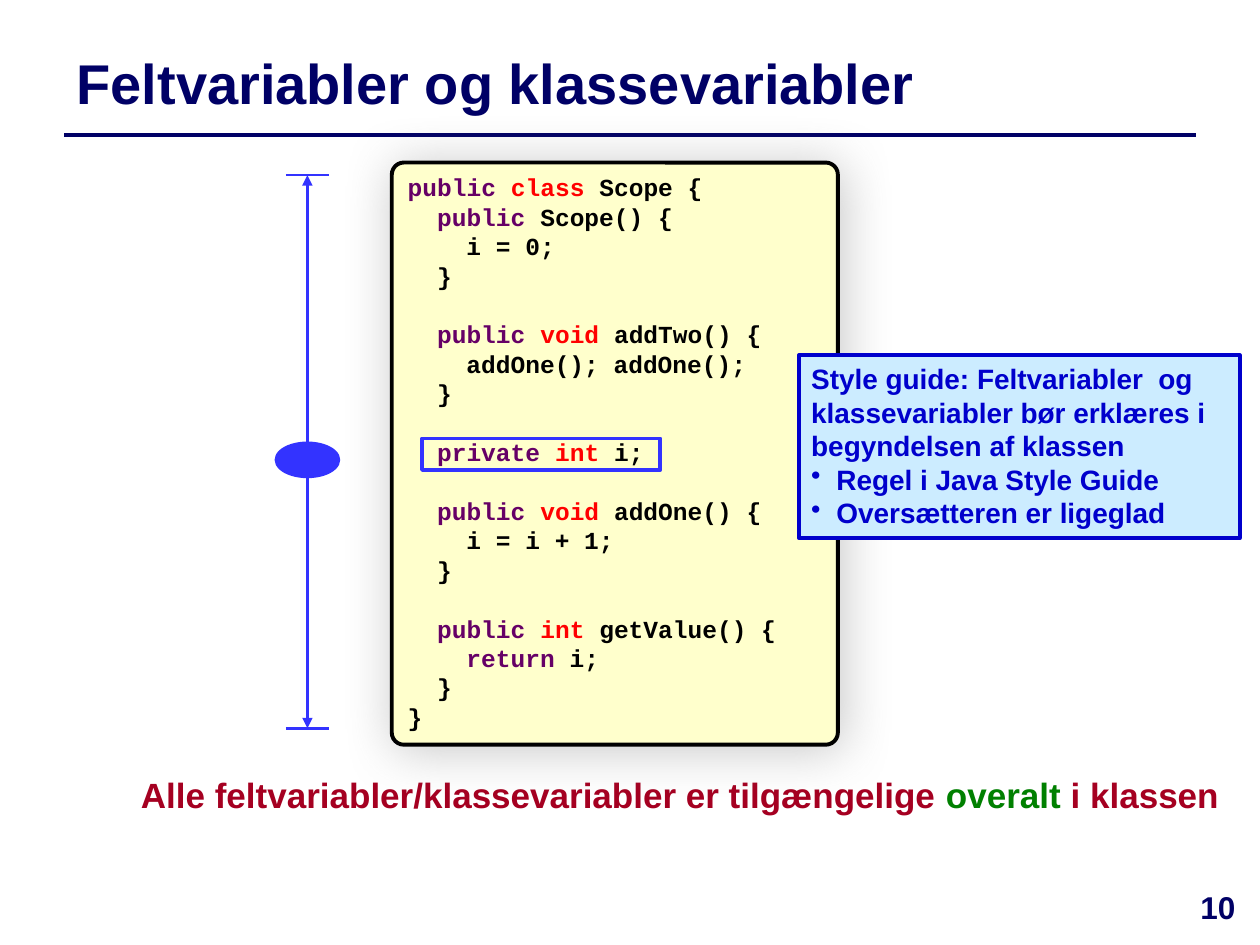
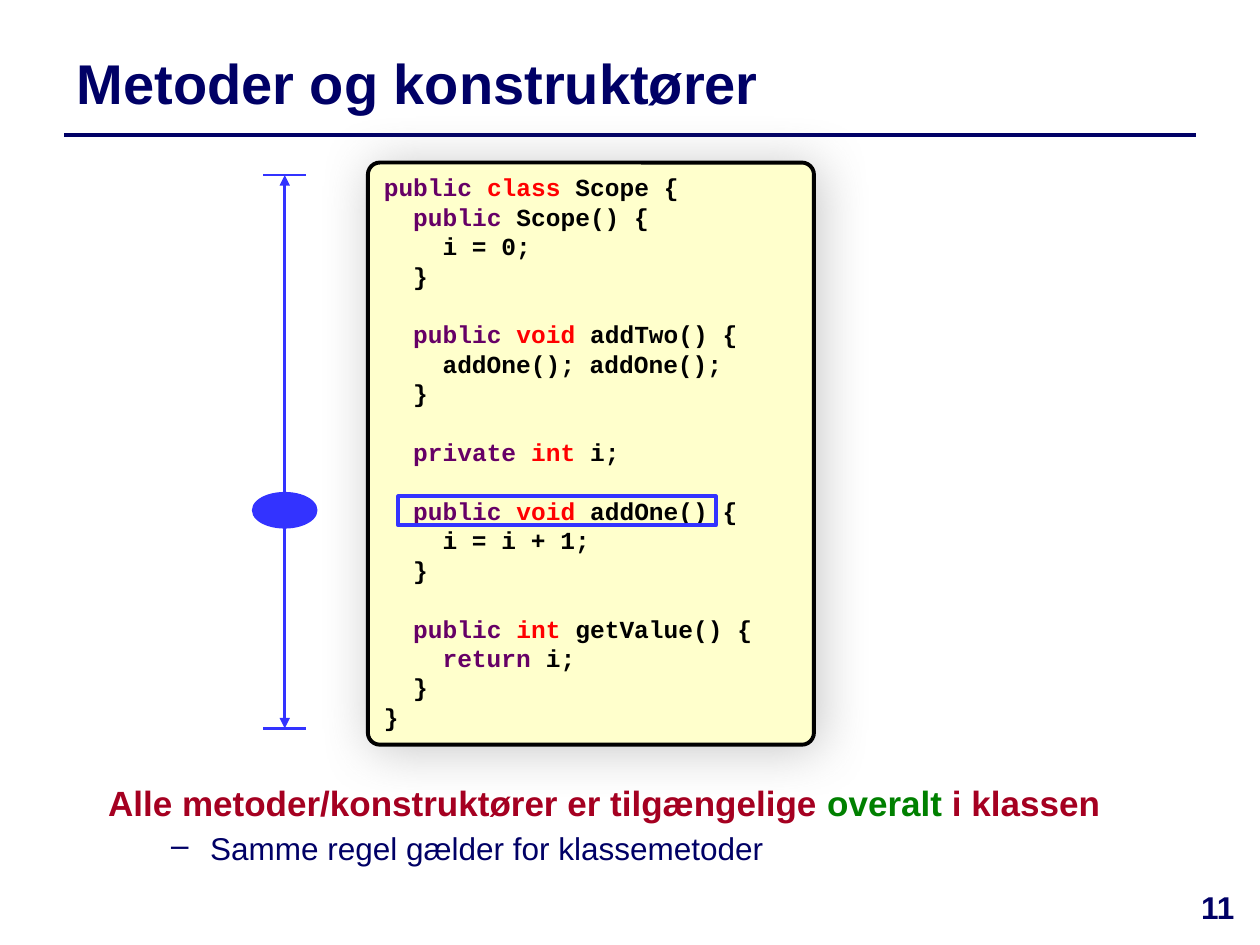
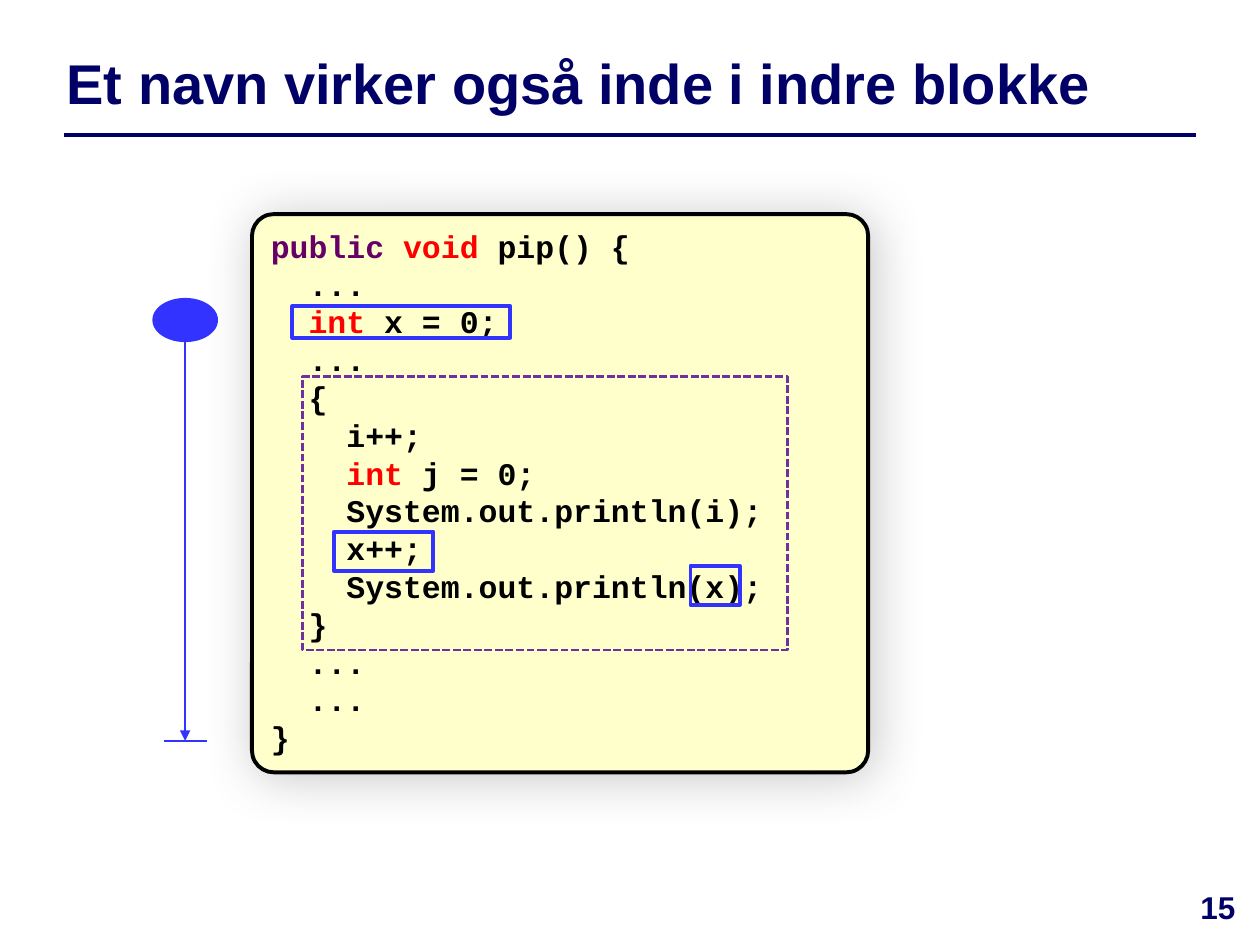
import itertools
import lxml.etree
import pptx
import pptx.dml.color
import pptx.enum.dml
import pptx.enum.shapes
import pptx.enum.text
import pptx.oxml.ns
import pptx.util

Inches = pptx.util.Inches
Pt = pptx.util.Pt
SHAPE = pptx.enum.shapes.MSO_SHAPE
ANCHOR = pptx.enum.text.MSO_ANCHOR
ALIGN = pptx.enum.text.PP_ALIGN
qn = pptx.oxml.ns.qn


class Theme:
    """Colours, fonts and type sizes of the deck."""
    navy, blue, ink = "000066", "3333FF", "000000"
    red, green, purple = "A50021", "008000", "7030A0"
    paper, pale, note, shade = "FFFFCC", "CCECFF", "0000CC", "808080"
    words = {**dict.fromkeys(("public", "private", "return"), "660066"),
             **dict.fromkeys(("class", "void", "int"), "FF0000")}
    sans, mono = "Arial", "Courier New"
    title, lead, body, small = 32, 20, 18, 16
    thin, rule, thick = 1.5, 2, 2.25
    pitch, char = 1.2, 0.6  # code line height and letter width, in ems


def rgb(code):
    """Turn a hex code into a colour."""
    return pptx.dml.color.RGBColor.from_string(code)


def node(parent, tag, **attrs):
    """Append an XML element with its attributes."""
    return lxml.etree.SubElement(parent, qn(tag), {k: str(v) for k, v in attrs.items()})


class Deck:
    """Holds the style and the current slide."""

    def __init__(self):
        """Open an empty deck of 10 by 7.5 inches."""
        self.deck = pptx.Presentation()
        self.deck.slide_width, self.deck.slide_height = Inches(10), Inches(7.5)

    def page(self, title, number, left=0.51, width=8.98):
        """Start a slide with its title, rule and number."""
        self.slide = self.deck.slides.add_slide(self.deck.slide_layouts[6])
        self.line(self.slide.shapes, (0.51, 1.07), (9.49, 1.07), Theme.navy, Theme.rule)
        frame = self.box(left, 0.28, width, 0.75)
        frame.vertical_anchor = ANCHOR.MIDDLE
        self.para(frame, title, Theme.title, Theme.navy)
        frame = self.box(9.31, 7, 0.71, 0.5)
        self.para(frame, str(number), Theme.body, Theme.navy).alignment = ALIGN.CENTER

    def box(self, left, top, width, height, wrap=True):
        """Add a text box and return its frame."""
        place = map(Inches, (left, top, width, height))
        frame = self.slide.shapes.add_textbox(*place).text_frame
        frame.word_wrap = wrap
        return frame

    def para(self, frame, text, size, color=None, font=Theme.sans, bold=True):
        """Add a paragraph from a string or from (text, colour) pairs."""
        para = frame.paragraphs[0]
        if para.runs:
            para = frame.add_paragraph()
        para.alignment = ALIGN.LEFT
        para.font.name, para.font.size, para.font.bold = font, Pt(size), bold
        if color:
            para.font.color.rgb = rgb(color)
            para.add_run().text = text
        else:
            for part, tint in text:
                run = para.add_run()
                run.text, run.font.color.rgb = part, rgb(tint)
        return para

    def indent(self, para, left, hang=0, mark=None):
        """Indent a paragraph, with a bullet if a mark is given."""
        props = para._p.get_or_add_pPr()
        props.set("marL", str(Inches(left)))
        props.set("indent", str(Inches(-hang)))
        if mark:
            bullet = node(props, "a:buChar", char=mark)
            props.find(qn("a:defRPr")).addprevious(bullet)

    def line(self, shapes, start, end, color=Theme.blue, width=Theme.thin, arrow=False):
        """Draw a straight line, with an arrowhead at its end if asked."""
        kind = pptx.enum.shapes.MSO_CONNECTOR.STRAIGHT
        line = shapes.add_connector(kind, *map(Inches, start + end))
        line.line.color.rgb, line.line.width = rgb(color), Pt(width)
        if arrow:
            node(line.line._get_or_add_ln(), "a:tailEnd", type="triangle")
        node(line._element.spPr, "a:effectLst")

    def shape(self, kind, place, fill, color, width, shapes=None):
        """Add a preset shape with a fill (or none) and an outline."""
        shapes = shapes or self.slide.shapes
        shape = shapes.add_shape(kind, *map(Inches, place))
        shape.shadow.inherit = False
        if fill:
            shape.fill.solid()
            shape.fill.fore_color.rgb = rgb(fill)
        else:
            shape.fill.background()
        shape.line.color.rgb, shape.line.width = rgb(color), Pt(width)
        return shape

    def frame(self, *place, color=Theme.blue, width=Theme.thick):
        """Outline a part of the code."""
        return self.shape(SHAPE.RECTANGLE, place, None, color, width)

    def scope(self, mid, low, high=None, x=2.44, tall=0.27):
        """Mark how far a name reaches down, and up if high is given."""
        shapes = self.slide.shapes.add_group_shape().shapes
        place = x - 0.25, mid - tall / 2, 0.5, tall
        self.shape(SHAPE.OVAL, place, Theme.blue, Theme.blue, Theme.thin, shapes)
        for end in filter(None, (low, high)):
            self.line(shapes, (x, mid), (x, end), arrow=True)
            self.line(shapes, (x - 0.17, end), (x + 0.17, end))

    def code(self, source, size, place, curve):
        """Show coloured code on a card with a soft shadow."""
        card = self.shape(SHAPE.ROUNDED_RECTANGLE, place, Theme.paper, Theme.ink, Theme.thick)
        card.adjustments[0] = curve
        glow = node(card._element.spPr.find(qn("a:effectLst")), "a:outerShdw",
                    blurRad=Pt(30), dist=Pt(3), dir=45 * 60000, algn="tl", rotWithShape=0)
        node(node(glow, "a:srgbClr", val=Theme.shade), "a:alpha", val=43000)
        frame = card.text_frame
        frame.vertical_anchor, frame.word_wrap = ANCHOR.TOP, True
        step, gap = size * Theme.pitch, 0
        for row in source.strip().splitlines():
            if not row:
                gap += step
                continue
            text = row.lstrip()
            groups = itertools.groupby(text.split(), lambda w: Theme.words.get(w, Theme.ink))
            runs = [(" ".join(words) + " ", tint) for tint, words in groups]
            runs[-1] = runs[-1][0].rstrip(), runs[-1][1]
            para = self.para(frame, runs, size, font=Theme.mono)
            para.line_spacing, para.space_before = Pt(step), Pt(gap)
            self.indent(para, (len(row) - len(text)) * size * Theme.char / 72)
            gap = 0

    def claim(self, names, *place):
        """State that the names are available everywhere."""
        frame = self.box(*place, wrap=False)
        self.para(frame, [(f"Alle {names} er tilgængelige ", Theme.red),
                          ("overalt ", Theme.green), ("i klassen", Theme.red)], Theme.lead)
        return frame

    def advice(self, lead, points, *place):
        """Add a note box with a lead and bullets."""
        note = self.shape(SHAPE.RECTANGLE, place, Theme.pale, Theme.note, Theme.thick)
        frame = note.text_frame
        frame.vertical_anchor, frame.word_wrap = ANCHOR.TOP, True
        self.para(frame, lead, Theme.small, Theme.note)
        for point in points:
            self.indent(self.para(frame, point, Theme.small, Theme.note), 0.2, 0.2, "•")


CLASS = """
public class Scope {
  public Scope() {
    i = 0;
  }

  public void addTwo() {
    addOne(); addOne();
  }

  private int i;

  public void addOne() {
    i = i + 1;
  }

  public int getValue() {
    return i;
  }
}
"""
BLOCK = """
public void pip() {
  ...
  int x = 0;
  ...
  {
    i++;
    int j = 0;
    System.out.println(i);
    x++;
    System.out.println(x);
  }
  ...
  ...
}
"""

deck = Deck()

deck.page("Feltvariabler og klassevariabler", 10)
deck.claim("feltvariabler/klassevariabler", 1.02, 6.09, 8.81, 0.44)
deck.scope(3.65, 5.78, 1.39)
deck.code(CLASS, 14, (3.11, 1.29, 3.54, 4.62), 0.027)
deck.frame(3.35, 3.48, 1.89, 0.25)
deck.advice("Style guide: Feltvariabler  og klassevariabler bør erklæres i begyndelsen af klassen",
            ("Regel i Java Style Guide", "Oversætteren er ligeglad"), 6.34, 2.82, 3.5, 1.45)

deck.page("Metoder og konstruktører", 11)
claim = deck.claim("metoder/konstruktører", 0.76, 6.15, 8.12, 0.82)
also = deck.para(claim, "Samme regel gælder for klassemetoder", Theme.body, Theme.navy, bold=False)
also.line_spacing, also.space_before = 0.9, Pt(6)
deck.indent(also, 0.81, 0.31, "–")
deck.scope(4.05, 5.78, 1.39, x=2.26)
deck.code(CLASS, 14, (2.92, 1.29, 3.54, 4.62), 0.027)
deck.frame(3.16, 3.94, 2.52, 0.23)

deck.page("Et navn virker også inde i indre blokke", 15, left=0.43, width=9.49)
deck.code(BLOCK, 18, (2, 1.7, 4.89, 4.43), 0.039)
deck.scope(2.54, 5.88, x=1.47, tall=0.33)
for spot in ((2.32, 2.43, 1.73, 0.25), (2.65, 4.22, 0.79, 0.31), (5.48, 4.49, 0.39, 0.31)):
    deck.frame(*spot)
inner = deck.frame(2.4, 2.99, 3.85, 2.17, color=Theme.purple, width=Theme.thin)
inner.line.dash_style = pptx.enum.dml.MSO_LINE.SQUARE_DOT

deck.deck.save("out.pptx")
